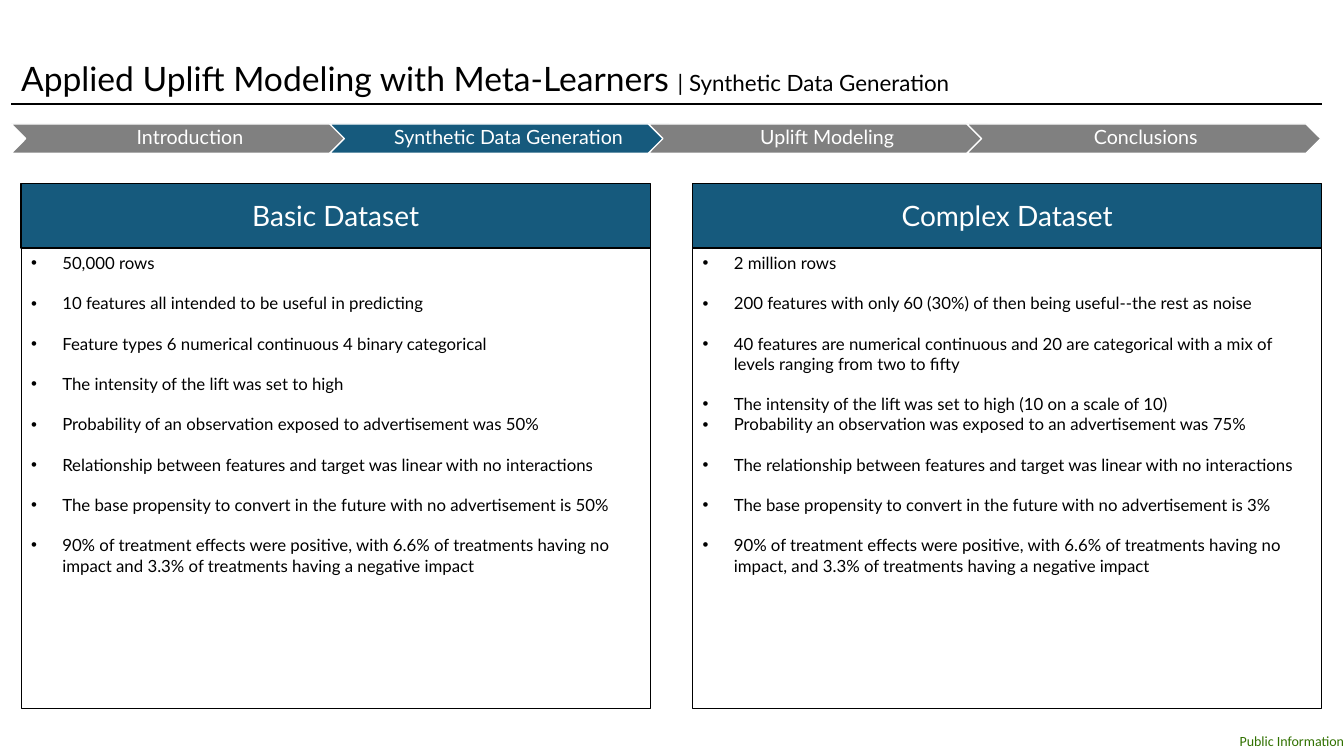
from dataclasses import dataclass

from lxml.etree import SubElement
from pptx import Presentation
from pptx.dml.color import RGBColor
from pptx.enum.shapes import MSO_CONNECTOR as Connector, MSO_SHAPE as Shape
from pptx.enum.text import MSO_ANCHOR as Anchor, MSO_AUTO_SIZE as AutoSize, PP_ALIGN as Align
from pptx.oxml.ns import qn
from pptx.util import Inches, Pt


@dataclass(frozen=True)
class Theme:
    accent: str = "165A7D"
    muted: str = "808080"
    white: str = "FFFFFF"
    black: str = "000000"
    label: str = "317100"
    font: str = "Lato"
    label_font: str = "Calibri"
    title_size: float = 24
    subtitle_size: float = 16
    heading_size: float = 20
    step_size: float = 14
    body_size: float = 12
    label_size: float = 10


THEME = Theme()
TITLE = ("Applied Uplift Modeling with Meta-Learners ", "| Synthetic Data Generation")
STEPS = ["Introduction", "Synthetic Data Generation", "Uplift Modeling", "Conclusions"]
CURRENT_STEP = 1

# Each panel holds groups of bullets; a blank line's height separates the groups
PANELS = [
    ("Basic Dataset", [
        ["50,000 rows"],
        ["10 features all intended to be useful in predicting"],
        ["Feature types 6 numerical continuous 4 binary categorical"],
        ["The intensity of the lift was set to high"],
        ["Probability of an observation exposed to advertisement was 50%"],
        ["Relationship between features and target was linear with no interactions"],
        ["The base propensity to convert in the future with no advertisement is 50%"],
        ["90% of treatment effects were positive, with 6.6% of treatments having no "
         "impact and 3.3% of treatments having a negative impact"],
    ]),
    ("Complex Dataset", [
        ["2 million rows"],
        ["200 features with only 60 (30%) of then being useful--the rest as noise"],
        ["40 features are numerical continuous and 20 are categorical with a mix of "
         "levels ranging from two to fifty"],
        ["The intensity of the lift was set to high (10 on a scale of 10)",
         "Probability an observation was exposed to an advertisement was 75%"],
        ["The relationship between features and target was linear with no interactions"],
        ["The base propensity to convert in the future with no advertisement is 3%"],
        ["90% of treatment effects were positive, with 6.6% of treatments having no "
         "impact, and 3.3% of treatments having a negative impact"],
    ]),
]


def apply(target, formats):
    for name, value in formats.items():
        setattr(target, name, value)


def add_run(paragraph, text, size, color, font=THEME.font):
    run = paragraph.add_run()
    run.text = text
    apply(run.font, {"name": font, "size": Pt(size), "bold": False})
    run.font.color.rgb = RGBColor.from_string(color)


def add_box(slide, kind, box, fill, line, line_width):
    shape = slide.shapes.add_shape(kind, *map(Inches, box))
    shape.shadow.inherit = False
    if fill:
        shape.fill.solid()
        shape.fill.fore_color.rgb = RGBColor.from_string(fill)
    else:
        shape.fill.background()
    shape.line.color.rgb = RGBColor.from_string(line)
    shape.line.width = Pt(line_width)
    return shape


def add_bullet(paragraph):
    properties = paragraph._p.get_or_add_pPr()
    properties.set("marL", str(Inches(0.31)))
    properties.set("indent", str(Inches(-0.31)))
    SubElement(properties, qn("a:buFont")).set("typeface", "Arial")
    SubElement(properties, qn("a:buChar")).set("char", "•")


def add_title(slide, box):
    left, top, width, height = box
    title = slide.shapes.title
    apply(title, dict(zip(("left", "top", "width", "height"), map(Inches, box))))
    apply(title.text_frame, {"word_wrap": True, "auto_size": AutoSize.NONE,
                             "vertical_anchor": Anchor.TOP})
    paragraph = title.text_frame.paragraphs[0]
    paragraph.alignment = Align.LEFT
    for text, size in zip(TITLE, (THEME.title_size, THEME.subtitle_size)):
        add_run(paragraph, text, size, THEME.black)

    # Rule under the title
    y = Inches(top + height + 0.01)
    rule = slide.shapes.add_connector(Connector.STRAIGHT, Inches(left), y,
                                      Inches(left + width), y)
    rule.line.color.rgb = RGBColor.from_string(THEME.black)
    rule.line.width = Pt(1.25)
    SubElement(rule._element.spPr, qn("a:effectLst"))


def add_steps(slide, box):
    left, top, width, height = box
    overlap = 0.35
    step_width = (width + overlap * (len(STEPS) - 1)) / len(STEPS)
    for index, text in enumerate(STEPS):
        fill = THEME.accent if index == CURRENT_STEP else THEME.muted
        step_box = (left + index * (step_width - overlap), top, step_width, height)
        chevron = add_box(slide, Shape.CHEVRON, step_box, fill, THEME.white, 1)
        apply(chevron.text_frame, {
            "word_wrap": True, "vertical_anchor": Anchor.MIDDLE,
            "margin_left": Inches(0.06), "margin_right": Inches(0.02),
            "margin_top": Inches(0.02), "margin_bottom": Inches(0.02)})
        paragraph = chevron.text_frame.paragraphs[0]
        apply(paragraph, {"alignment": Align.CENTER, "line_spacing": 0.9})
        add_run(paragraph, text, THEME.step_size, THEME.white)


def add_panel(slide, box, heading, groups):
    left, top, width, height = box
    header_height = 0.64

    # Header
    header = add_box(slide, Shape.RECTANGLE, (left, top, width, header_height),
                     THEME.accent, THEME.black, 1)
    header.text_frame.vertical_anchor = Anchor.MIDDLE
    paragraph = header.text_frame.paragraphs[0]
    paragraph.alignment = Align.CENTER
    add_run(paragraph, heading, THEME.heading_size, THEME.white)

    # Bulleted body
    body = add_box(slide, Shape.RECTANGLE,
                   (left, top + header_height, width, height - header_height),
                   None, THEME.black, 0.75)
    frame = body.text_frame
    apply(frame, {"word_wrap": True, "vertical_anchor": Anchor.TOP})
    for group_index, group in enumerate(groups):
        for item_index, text in enumerate(group):
            first = group_index == item_index == 0
            paragraph = frame.paragraphs[0] if first else frame.add_paragraph()
            paragraph.alignment = Align.LEFT
            if group_index and not item_index:
                paragraph.space_before = Pt(THEME.body_size * 1.2)
            add_bullet(paragraph)
            add_run(paragraph, text, THEME.body_size, THEME.black)


def add_label(slide, box):
    frame = slide.shapes.add_textbox(*map(Inches, box)).text_frame
    apply(frame, {"word_wrap": True, "vertical_anchor": Anchor.MIDDLE, "margin_left": 0,
                  "margin_right": 0, "margin_top": 0, "margin_bottom": 0})
    paragraph = frame.paragraphs[0]
    paragraph.alignment = Align.RIGHT
    add_run(paragraph, "Public Information", THEME.label_size, THEME.label, THEME.label_font)


def main():
    presentation = Presentation()
    apply(presentation, {"slide_width": Inches(13.33), "slide_height": Inches(7.5)})
    slide = presentation.slides.add_slide(presentation.slide_layouts[5])
    add_title(slide, (0.11, 0.52, 13, 0.5))
    add_steps(slide, (0.11, 1.23, 12.99, 0.29))
    for index, (heading, groups) in enumerate(PANELS):
        add_panel(slide, (0.21 + index * 6.66, 1.82, 6.24, 5.21), heading, groups)
    add_label(slide, (11.97, 7.21, 1.36, 0.29))
    presentation.save("out.pptx")


if __name__ == "__main__":
    main()
